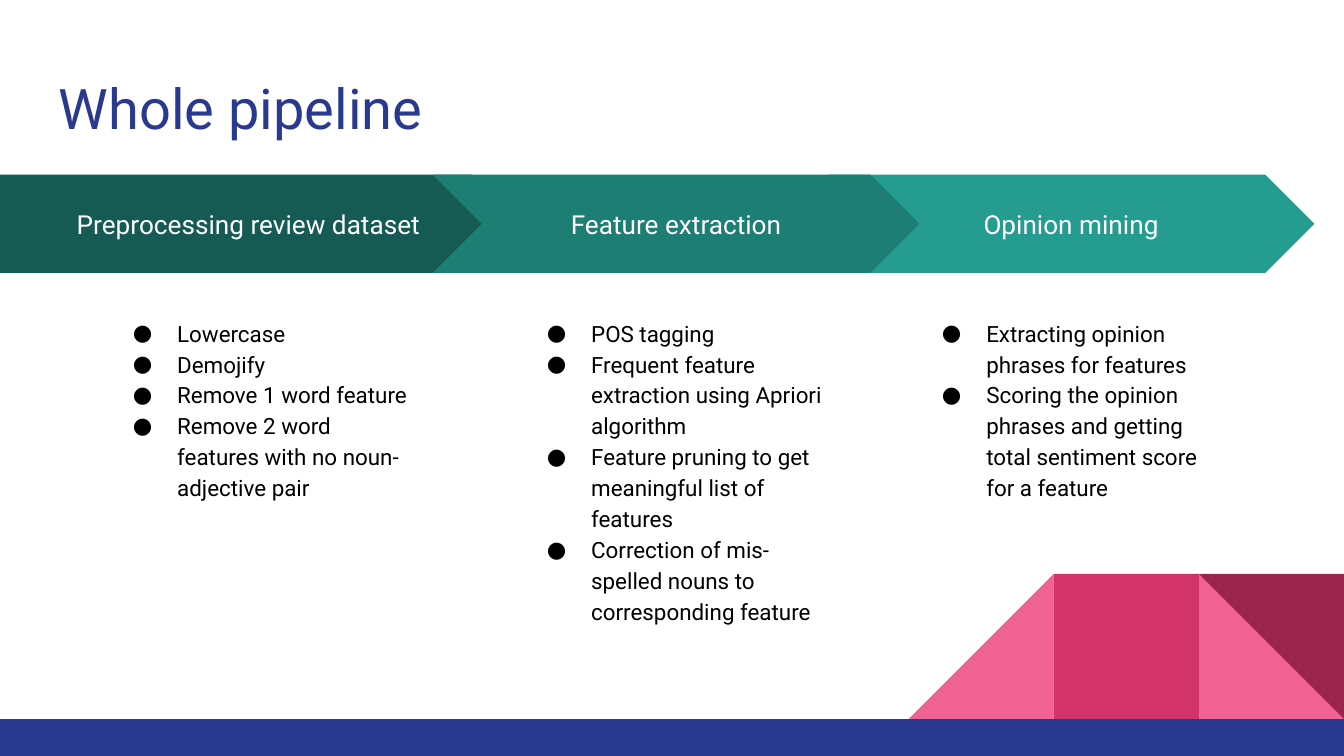
from lxml import etree
from pptx import Presentation
from pptx.dml.color import RGBColor
from pptx.enum.shapes import MSO_SHAPE
from pptx.enum.text import MSO_ANCHOR, PP_ALIGN
from pptx.oxml.ns import qn
from pptx.util import Inches, Pt

RECT, TRIANGLE = MSO_SHAPE.RECTANGLE, MSO_SHAPE.RIGHT_TRIANGLE
PENTAGON, CHEVRON = MSO_SHAPE.PENTAGON, MSO_SHAPE.CHEVRON
TOP, MIDDLE = MSO_ANCHOR.TOP, MSO_ANCHOR.MIDDLE
LEFT, CENTER = PP_ALIGN.LEFT, PP_ALIGN.CENTER

W = 10
H = W * 9 / 16
NAVY, WHITE, BLACK = "2A3990", "FFFFFF", "000000"
TITLE = "Whole pipeline"
STAGES = [
    (2, "Opinion mining", CHEVRON, "249C90",
     ["Extracting opinion phrases for features",
      "Scoring the opinion phrases and getting total sentiment score for a feature"]),
    (0, "Preprocessing review dataset", PENTAGON, "155B54",
     ["Lowercase", "Demojify", "Remove 1 word feature",
      "Remove 2 word features with no noun-adjective pair"]),
    (1, "Feature extraction", CHEVRON, "1D7E74",
     ["POS tagging ", "Frequent feature extraction using Apriori algorithm",
      "Feature pruning to get meaningful list of features",
      "Correction of mis-spelled nouns to corresponding feature"]),
]
TILE, FOOTER_TOP = 1.08, 5.35
TILES = [
    (1, TRIANGLE, 0, "F06292"),
    (3, TRIANGLE, 270, "F06292"),
    (2, RECT, 0, "D23369"),
    (1, TRIANGLE, 180, "9C254D"),
]
STEP, ARROW_W, ARROW_H, ARROW_TOP = 2.94, 3.62, 0.73, 1.3
ARROW_LEFT, FIRST_W = 0.28, 3.88
LIST_LEFT, LIST_TOP, LIST_W, LIST_H = 0.58, 2.25, 2.45, 2.86
FIRST_LIST_LEFT = 0.72

prs = Presentation()
prs.slide_width, prs.slide_height = Inches(W), Inches(H)
s = prs.slides.add_slide(prs.slide_layouts[6])


def color(value):
    return RGBColor.from_string(value)


def add_shape(kind, box, fill, rotation=0):
    sp = s.shapes.add_shape(kind, *map(Inches, box))
    sp.shadow.inherit = False
    sp.fill.solid()
    sp.fill.fore_color.rgb = color(fill)
    sp.line.fill.background()
    sp.rotation = rotation
    return sp


def add_bullet(p, size):
    pPr = p._p.get_or_add_pPr()
    pPr.set("marL", str(Inches(0.5)))
    pPr.set("indent", str(Inches(-0.33)))
    clr = etree.SubElement(pPr, qn("a:buClr"))
    etree.SubElement(clr, qn("a:srgbClr"), val=BLACK)
    etree.SubElement(pPr, qn("a:buSzPts"), val=str(size * 100))
    etree.SubElement(pPr, qn("a:buFont"), typeface="Roboto")
    etree.SubElement(pPr, qn("a:buChar"), char="●")


def write(sp, lines, size, ink, align=LEFT, anchor=TOP, bullets=False):
    tf = sp.text_frame
    frame = dict.fromkeys(
        ("margin_left", "margin_right", "margin_top", "margin_bottom"), Inches(0.1))
    frame.update(word_wrap=True, vertical_anchor=anchor)
    for name, value in frame.items():
        setattr(tf, name, value)
    for i, line in enumerate(lines):
        p = tf.add_paragraph() if i else tf.paragraphs[0]
        p.alignment = align
        if bullets:
            p.line_spacing = 1.15
            add_bullet(p, size)
        r = p.add_run()
        r.text = line
        for name, value in {"name": "Roboto", "size": Pt(size)}.items():
            setattr(r.font, name, value)
        r.font.color.rgb = color(ink)


def add_text(box, lines, size, ink, **options):
    write(s.shapes.add_textbox(*map(Inches, box)), lines, size, ink, **options)


for from_right, kind, rotation, fill in TILES:
    add_shape(kind, (W - from_right * TILE, FOOTER_TOP - TILE, TILE, TILE), fill, rotation)
add_shape(RECT, (0, FOOTER_TOP, W, H - FOOTER_TOP), NAVY)
add_text((0.34, 0.45, 9.32, 0.66), [TITLE], 30, NAVY)

for column, name, kind, fill, items in STAGES:
    left, width, list_left = 0, FIRST_W, FIRST_LIST_LEFT
    if column:
        left, width = ARROW_LEFT + column * STEP, ARROW_W
        list_left = left + LIST_LEFT
    arrow = add_shape(kind, (left, ARROW_TOP, width, ARROW_H), fill)
    write(arrow, [name], 14, WHITE, align=CENTER, anchor=MIDDLE)
    add_text((list_left, LIST_TOP, LIST_W, LIST_H), items, 12, BLACK, bullets=True)

prs.save("out.pptx")
